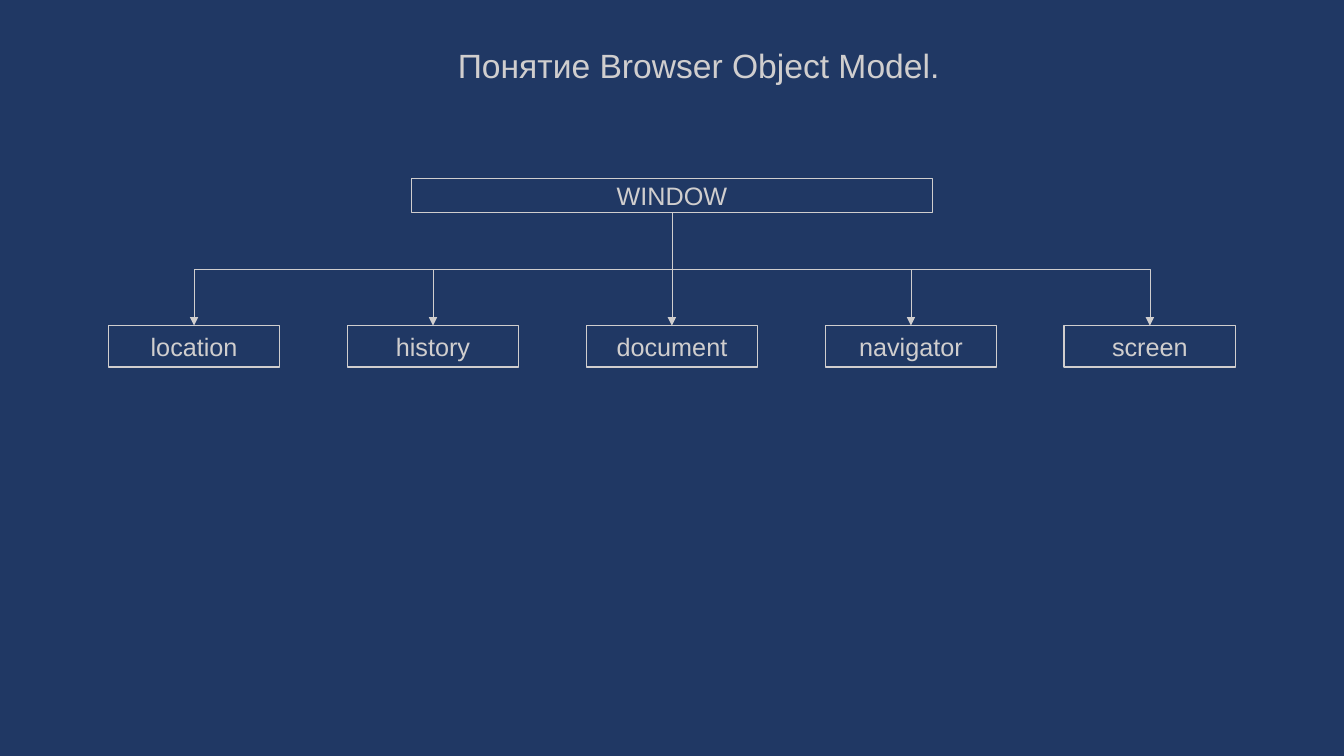
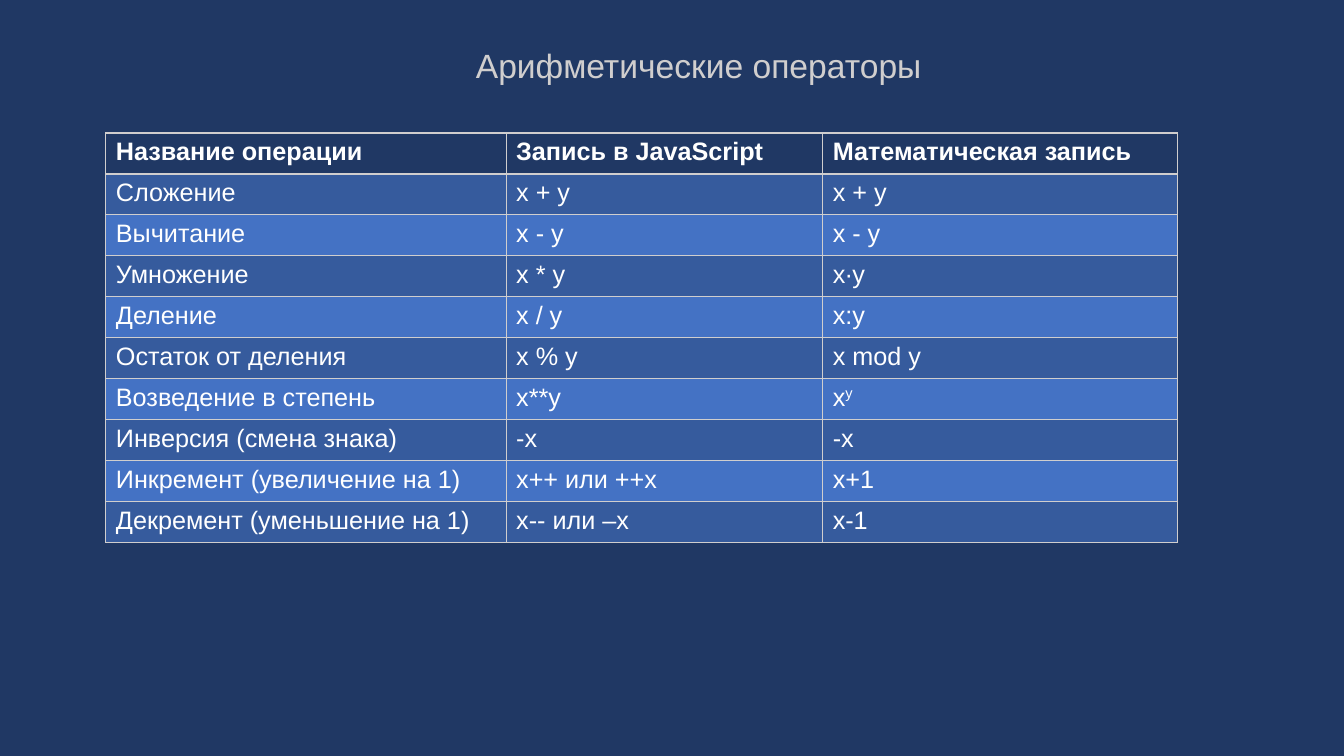
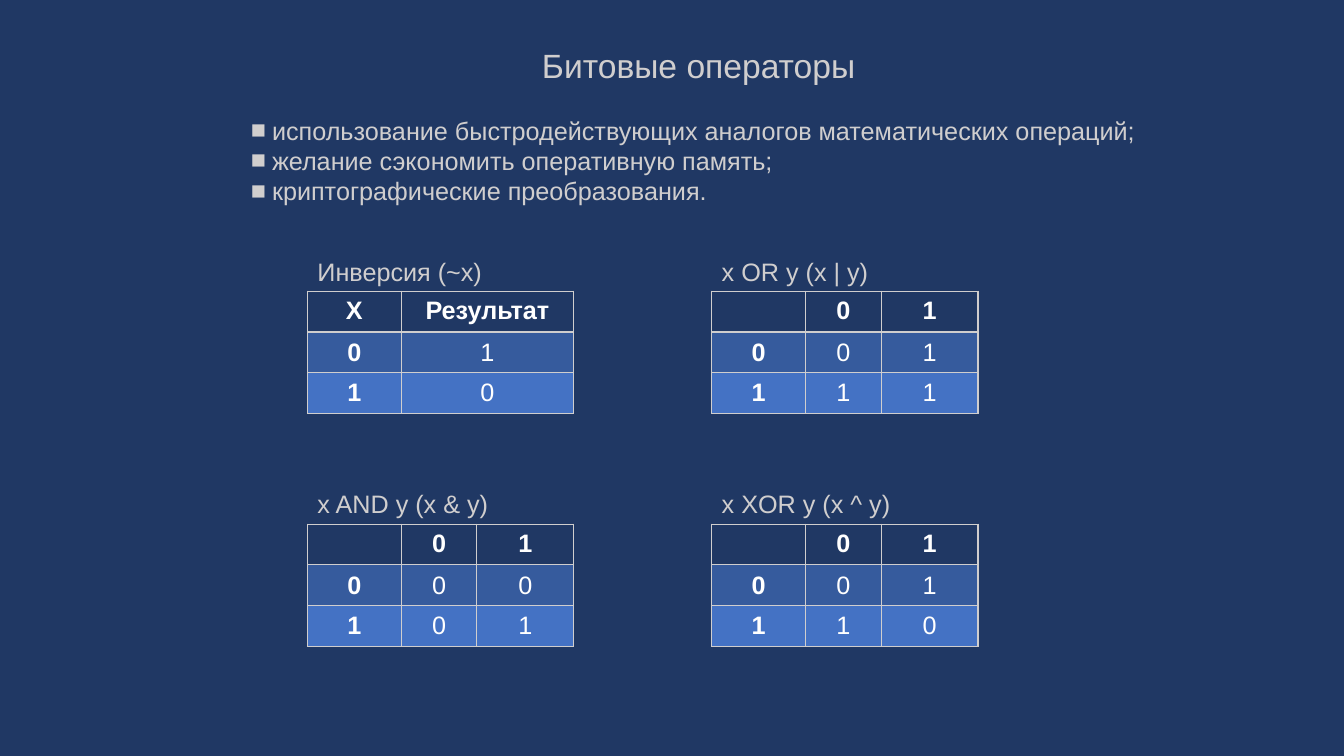
from dataclasses import dataclass

from lxml import etree
from pptx import Presentation
from pptx import util as u
from pptx.dml.color import RGBColor
from pptx.enum import shapes, text
from pptx.oxml import ns


@dataclass(frozen=True)
class Theme:
    font: str = "Arial"
    navy: str = "203864"
    light: str = "D0CECE"
    white: str = "FFFFFF"
    bands: tuple = ("365B9D", "4472C4")
    title_size: int = 24
    body_size: int = 18
    border: float = 1
    arrow: float = 0.5


T = Theme()
SLIDE_W, SLIDE_H = 13.33, 7.5
CENTER, MIDDLE = text.PP_ALIGN.CENTER, text.MSO_ANCHOR.MIDDLE

BOM_TITLE = "Понятие Browser Object Model."
BOM_ROOT = "WINDOW"
BOM_CHILDREN = ["location", "history", "document", "navigator", "screen"]

ARITHMETIC_TITLE = "Арифметические операторы"
ARITHMETIC_COLS = [3.97, 3.14, 3.52]
# A pair in a cell is a base and its superscript.
ARITHMETIC = [
    ["Название операции", "Запись в JavaScript", "Математическая запись"],
    ["Сложение", "x + y", "x + y"],
    ["Вычитание", "x - y", "x - y"],
    ["Умножение", "x * y", "x∙y"],
    ["Деление", "x / y", "x:y"],
    ["Остаток от деления", "x % y", "x mod y"],
    ["Возведение в степень", "x**y", ("x", "y")],
    ["Инверсия (смена знака)", "-x", "-x"],
    ["Инкремент (увеличение на 1)", "x++ или ++х", "х+1"],
    ["Декремент (уменьшение на 1)", "х-- или –х", "х-1"],
]

BITWISE_TITLE = "Битовые операторы"
BITWISE_USES = [
    "использование быстродействующих аналогов математических операций;",
    "желание сэкономить оперативную память;",
    "криптографические преобразования.",
]
NOT_COLS, PAIR_COLS = [0.93, 1.71], [0.93, 0.75, 0.96]
# Truth tables in reading order, two to a row.
TRUTH_TABLES = [
    ("Инверсия (~x)", NOT_COLS, [["X", "Результат"], "01", "10"]),
    ("x OR y (x | y)", PAIR_COLS, [["", "0", "1"], "001", "111"]),
    ("x AND y (x & y)", PAIR_COLS, [["", "0", "1"], "000", "101"]),
    ("x XOR y (x ^ y)", PAIR_COLS, [["", "0", "1"], "001", "110"]),
]


def inches(*lengths):
    return [u.Inches(x) for x in lengths]


def rgb(color):
    return RGBColor.from_string(color)


def add_run(p, words, color=T.light, size=T.body_size, bold=False):
    r = p.add_run()
    r.text = words
    r.font.name, r.font.size, r.font.bold = T.font, u.Pt(size), bold
    r.font.color.rgb = rgb(color)
    return r


def add_text(s, box):
    tf = s.shapes.add_textbox(*inches(*box)).text_frame
    tf.word_wrap = True
    return tf


def add_slide(prs, title):
    s = prs.slides.add_slide(prs.slide_layouts[6])
    p = add_text(s, (1.18, 0.44, 11.5, 0.5)).paragraphs[0]
    p.alignment, p.line_spacing = CENTER, 0.9
    add_run(p, title, size=T.title_size)
    return s


def add_box(s, words, box):
    sp = s.shapes.add_shape(shapes.MSO_SHAPE.RECTANGLE, *inches(*box))
    sp.shadow.inherit = False
    sp.fill.background()
    sp.line.color.rgb, sp.line.width = rgb(T.light), u.Pt(T.border)
    sp.text_frame.vertical_anchor = MIDDLE
    p = sp.text_frame.paragraphs[0]
    p.alignment = CENTER
    add_run(p, words)
    return sp


def add_tree_arrow(s, parent, child):
    """Elbow arrow that leaves the parent's bottom and enters the child's top."""
    x0, y0 = parent.left + parent.width // 2, parent.top + parent.height
    x1, y1 = child.left + child.width // 2, child.top
    cxn = s.shapes.add_connector(shapes.MSO_CONNECTOR.ELBOW, x0, y0, x1, y1)
    cxn.begin_connect(parent, 2)
    cxn.end_connect(child, 0)
    # An elbow starts sideways, so it is laid out on its side and turned.
    cxn.width, cxn.height = y1 - y0, abs(x1 - x0)
    cxn.left = (x0 + x1 - cxn.width) // 2
    cxn.top = (y0 + y1 - cxn.height) // 2
    xfrm = cxn._element.spPr.xfrm
    to_left = x1 < x0
    xfrm.rot, xfrm.flipH, xfrm.flipV = (90 if to_left else 270), not to_left, False
    cxn.line.color.rgb, cxn.line.width = rgb(T.light), u.Pt(T.arrow)
    etree.SubElement(cxn.line._get_or_add_ln(), ns.qn("a:tailEnd"), type="triangle")
    etree.SubElement(cxn._element.spPr, ns.qn("a:effectLst"))


def add_borders(cell):
    tcPr = cell._tc.get_or_add_tcPr()
    for side in "LRTB":
        ln = etree.SubElement(tcPr, ns.qn(f"a:ln{side}"), w=str(u.Pt(T.border)))
        fill = etree.SubElement(ln, ns.qn("a:solidFill"))
        etree.SubElement(fill, ns.qn("a:srgbClr"), val=T.light)


def add_grid(s, rows, cols, left, top, row_h, truth=False):
    """Banded table; a truth table is centred and has a bold first column."""
    box = inches(left, top, sum(cols), row_h * len(rows))
    table = s.shapes.add_table(len(rows), len(cols), *box).table
    table.horz_banding = False
    for column, width in zip(table.columns, cols):
        column.width = u.Inches(width)
    for i, row in enumerate(rows):
        for j, value in enumerate(row):
            cell = table.cell(i, j)
            add_borders(cell)
            cell.fill.solid()
            cell.fill.fore_color.rgb = rgb(T.bands[(i - 1) % 2] if i else T.navy)
            p = cell.text_frame.paragraphs[0]
            if truth:
                p.alignment = CENTER
                if i:
                    cell.vertical_anchor = MIDDLE
            base, power = value if isinstance(value, tuple) else (value, "")
            bold = i == 0 or (truth and j == 0)
            if base:
                add_run(p, base, T.white, bold=bold)
            if power:
                r = add_run(p, power, T.white, bold=bold)
                r._r.get_or_add_rPr().set("baseline", "30000")


def add_bullets(s, items, box):
    tf = add_text(s, box)
    for i, item in enumerate(items):
        p = tf.add_paragraph() if i else tf.paragraphs[0]
        pPr = p._p.get_or_add_pPr()
        indent = u.Inches(0.21)
        pPr.set("marL", str(indent))
        pPr.set("indent", str(-indent))
        etree.SubElement(pPr, ns.qn("a:buFont"), typeface=T.font)
        etree.SubElement(pPr, ns.qn("a:buChar"), char="■")
        add_run(p, item)


def build_object_model(prs):
    s = add_slide(prs, BOM_TITLE)
    root_w, child_w, pitch = 5.17, 1.7, 2.37
    root = add_box(s, BOM_ROOT, ((SLIDE_W - root_w) / 2, 1.77, root_w, 0.34))
    first = (SLIDE_W - child_w - pitch * (len(BOM_CHILDREN) - 1)) / 2
    children = [add_box(s, name, (first + pitch * i, 3.23, child_w, 0.41))
                for i, name in enumerate(BOM_CHILDREN)]
    for child in children:
        add_tree_arrow(s, root, child)


def build_arithmetic(prs):
    s = add_slide(prs, ARITHMETIC_TITLE)
    add_grid(s, ARITHMETIC, ARITHMETIC_COLS, 1.05, 1.32, 0.406)


def build_bitwise(prs):
    s = add_slide(prs, BITWISE_TITLE)
    add_bullets(s, BITWISE_USES, (2.39, 1.09, 9.07, 1.01))
    label_h = 0.4
    for i, (label, cols, rows) in enumerate(TRUTH_TABLES):
        left, top = 3.05 + 4.01 * (i % 2), 2.49 + 2.31 * (i // 2)
        add_grid(s, rows, cols, left, top + label_h, 0.404, truth=True)
        tf = add_text(s, (left, top, sum(cols), label_h))
        add_run(tf.paragraphs[0], label)


def main():
    prs = Presentation()
    prs.slide_width, prs.slide_height = inches(SLIDE_W, SLIDE_H)
    fill = prs.slide_master.background.fill
    fill.solid()
    fill.fore_color.rgb = rgb(T.navy)
    build_object_model(prs)
    build_arithmetic(prs)
    build_bitwise(prs)
    prs.save("out.pptx")


if __name__ == "__main__":
    main()
